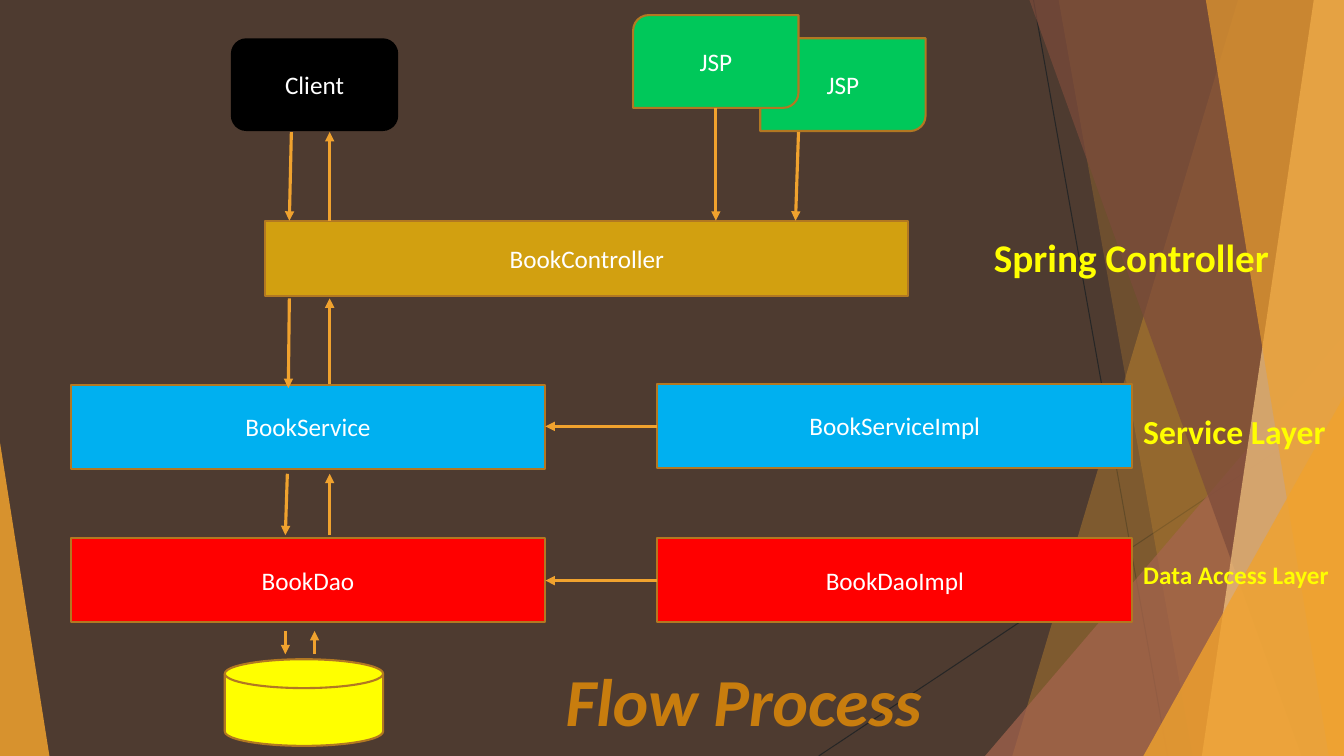
"""Builds the Flow Process slide: a layered book application and its request flow."""
from dataclasses import dataclass

from lxml import etree
from pptx import Presentation
from pptx import util as u
from pptx.dml.color import RGBColor
from pptx.enum import shapes, text
from pptx.oxml import ns


@dataclass(frozen=True)
class Theme:
    font: str = "Calibri"
    ground: str = "4E3B30"
    hairline: str = "262626"
    amber: str = "F0A22E"
    sand: str = "F6C782"
    clay: str = "A5644E"
    brown: str = "7C4B3B"
    border: str = "B27822"
    title: str = "C87D0E"
    white: str = "FFFFFF"
    black: str = "000000"
    yellow: str = "FFFF00"
    gold: str = "D2A010"
    blue: str = "00B0F0"
    green: str = "00C85A"
    red: str = "FF0000"
    body_size: int = 18
    service_size: int = 24
    controller_size: int = 28
    title_size: int = 48


theme = Theme()
kinds = shapes.MSO_SHAPE
deck = Presentation()
deck.slide_width, deck.slide_height = u.Inches(13.33), u.Inches(7.5)
page = deck.slides.add_slide(deck.slide_layouts[5])
page.background.fill.solid()
page.background.fill.fore_color.rgb = RGBColor.from_string(theme.ground)


def paint(shape, color, opacity=100):
    """Fill a shape without outline or shadow."""
    shape.shadow.inherit = False
    shape.line.fill.background()
    shape.fill.solid()
    shape.fill.fore_color.rgb = RGBColor.from_string(color)
    if opacity < 100:
        tint = shape.element.spPr.find(".//" + ns.qn("a:srgbClr"))
        etree.SubElement(tint, ns.qn("a:alpha"), val=str(opacity * 1000))


def connect(start, end, color, width, arrow=False):
    """Draw a straight line, with an arrowhead at its end if asked."""
    line = page.shapes.add_connector(
        shapes.MSO_CONNECTOR.STRAIGHT, *map(u.Inches, start + end))
    line.line.color.rgb = RGBColor.from_string(color)
    line.line.width = u.Pt(width)
    if arrow:
        etree.SubElement(line.line._get_or_add_ln(), ns.qn("a:tailEnd"), type="triangle")
    etree.SubElement(line.element.spPr, ns.qn("a:effectLst"))


connect((10.25, 0), (11.58, 7.5), theme.hairline, 0.75)
connect((13.33, 4.03), (8.12, 7.5), theme.hairline, 0.75)

right, bottom = 13.33, 7.5
facets = [
    ([(12.28, 0), (right, 0), (right, bottom), (10.04, bottom)], theme.amber, 30),
    ([(10.5, 0), (right, 0), (right, bottom), (11.83, bottom)], theme.amber, 20),
    ([(right, 3.33), (right, bottom), (9.77, bottom)], theme.clay, 72),
    ([(10.21, 0), (right, 0), (right, bottom), (12.91, bottom)], theme.brown, 70),
    ([(13.03, 0), (right, 0), (right, bottom), (11.92, bottom)], theme.sand, 70),
    ([(11.96, 0), (right, 0), (right, bottom), (13.18, bottom)], theme.amber, 65),
    ([(right, 3.93), (right, bottom), (11.34, bottom)], theme.amber, 80),
    ([(0, 4.39), (0.49, bottom), (0, bottom)], theme.amber, 85),
]
for corners, color, opacity in facets:
    points = [(u.Inches(x), u.Inches(y)) for x, y in corners]
    outline = page.shapes.build_freeform(*points[0])
    outline.add_line_segments(points[1:], close=True)
    paint(outline.convert_to_shape(), color, opacity)

left_column, right_column, layer_size = 0.7, 6.52, (4.71, 0.83)
page_size = (1.64, 0.92)
nodes = [
    ("BookController", kinds.RECTANGLE, (2.63, 2.19), (6.38, 0.75), theme.gold),
    ("BookService", kinds.RECTANGLE, (left_column, 3.82), layer_size, theme.blue),
    ("BookServiceImpl", kinds.RECTANGLE, (right_column, 3.81), layer_size, theme.blue),
    ("Client", kinds.ROUNDED_RECTANGLE, (2.29, 0.38), (1.66, 0.92), theme.black),
    ("JSP", kinds.ROUND_2_DIAG_RECTANGLE, (7.54, 0.38), page_size, theme.green),
    ("BookDao", kinds.RECTANGLE, (left_column, 5.34), layer_size, theme.red),
    ("BookDaoImpl", kinds.RECTANGLE, (right_column, 5.34), layer_size, theme.red),
    ("", kinds.FLOWCHART_MAGNETIC_DISK, (2.23, 6.54), (1.57, 0.86), theme.yellow),
    ("JSP", kinds.ROUND_2_DIAG_RECTANGLE, (6.28, 0.15), page_size, theme.green),
]
for label, kind, place, size, color in nodes:
    node = page.shapes.add_shape(kind, *map(u.Inches, place + size))
    paint(node, color)
    if color != theme.black:
        node.line.color.rgb = RGBColor.from_string(theme.border)
        node.line.width = u.Pt(1.5)
    if label:
        node.text_frame.text = label
        node.text_frame.vertical_anchor = text.MSO_ANCHOR.MIDDLE
        para = node.text_frame.paragraphs[0]
        para.alignment = text.PP_ALIGN.CENTER
        para.font.name, para.font.size = theme.font, u.Pt(theme.body_size)
        para.font.color.rgb = RGBColor.from_string(theme.white)

title = page.shapes.title
page.shapes.element.append(title.element)
captions = [
    ("Spring Controller", (9.76, 2.27, 3.11, 0.57), theme.controller_size, theme.yellow),
    ("Service Layer", (11.24, 4.03, 2.12, 0.5), theme.service_size, theme.yellow),
    ("Data Access Layer", (11.24, 5.5, 2.12, 0.4), theme.body_size, theme.yellow),
    ("Flow Process", (5.51, 6.49, 3.98, 0.91), theme.title_size, theme.title),
]
for wording, area, size, color in captions:
    frame = [u.Inches(length) for length in area]
    if color == theme.title:
        box = title
        box.left, box.top, box.width, box.height = frame
    else:
        box = page.shapes.add_textbox(*frame)
    box.text_frame.text = wording
    box.text_frame.word_wrap = False
    box.text_frame.auto_size = text.MSO_AUTO_SIZE.NONE
    box.text_frame.vertical_anchor = text.MSO_ANCHOR.TOP
    para = box.text_frame.paragraphs[0]
    para.alignment = text.PP_ALIGN.LEFT
    para.font.name, para.font.size = theme.font, u.Pt(size)
    para.font.bold, para.font.italic = True, box is title
    para.font.color.rgb = RGBColor.from_string(color)

arrows = [
    ((2.89, 1.31), (2.87, 2.19)),
    ((2.87, 2.96), (2.86, 3.85)),
    ((2.85, 4.7), (2.83, 5.31)),
    ((2.83, 6.26), (2.83, 6.49)),
    ((3.27, 2.19), (3.27, 1.31)),
    ((3.27, 3.81), (3.27, 2.96)),
    ((3.27, 5.31), (3.27, 4.7)),
    ((3.12, 6.49), (3.12, 6.26)),
    ((7.92, 1.31), (7.89, 2.19)),
    ((7.1, 1.07), (7.1, 2.19)),
    ((right_column, 4.23), (5.41, 4.23)),
    ((right_column, 5.76), (5.41, 5.76)),
]
for start, end in arrows:
    connect(start, end, theme.amber, 2.25, arrow=True)

deck.save("out.pptx")
